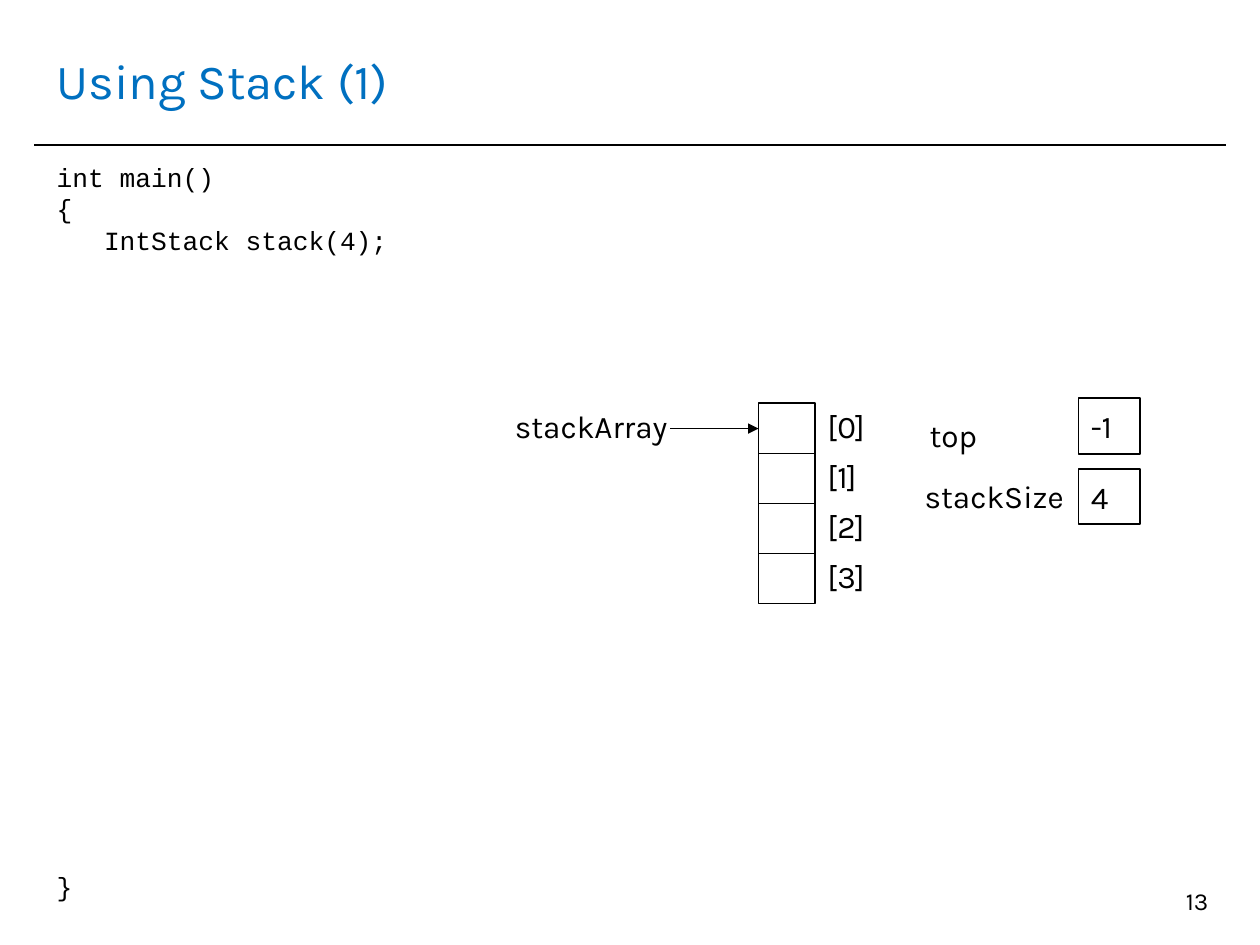
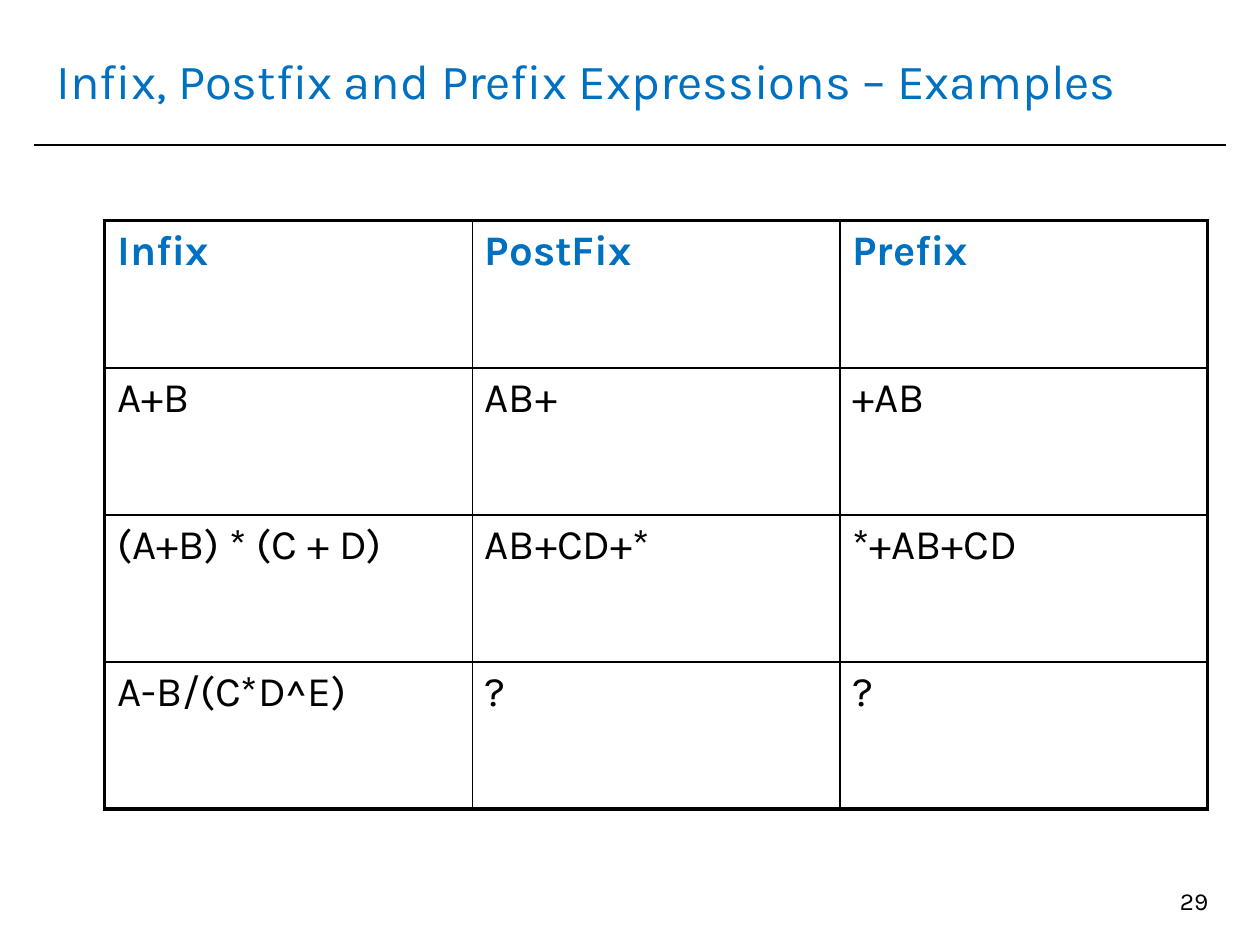
import dataclasses

import pptx
import pptx.dml.color
import pptx.enum.shapes
import pptx.enum.text
import pptx.oxml
import pptx.oxml.ns
import pptx.util

Cm = pptx.util.Cm
Pt = pptx.util.Pt
ANCHOR = pptx.enum.text.MSO_ANCHOR
ALIGN = pptx.enum.text.PP_ALIGN


@dataclasses.dataclass(frozen=True)
class Theme:
    blue: str = "0070C0"
    black: str = "000000"
    sans: str = "Karla"
    mono: str = "Courier New"
    title: int = 28
    table: int = 24
    label: int = 18
    code: int = 15
    page: int = 14
    thin: float = 1
    thick: float = 2.25


THEME = Theme()


# Text and line helpers
def paint(code):
    return pptx.dml.color.RGBColor.from_string(code)


def style(par, size, color=THEME.black, face=THEME.sans, bold=False):
    for run in par.runs:
        font = run.font
        font.size, font.name, font.bold = Pt(size), face, bold
        font.color.rgb = paint(color)


def place(shape, left, top, width, height):
    shape.left, shape.top = Cm(left), Cm(top)
    shape.width, shape.height = Cm(width), Cm(height)


def add_label(slide, text, left, top, width, height=1.02, size=THEME.label,
              align=ALIGN.LEFT):
    box = slide.shapes.add_textbox(Cm(left), Cm(top), Cm(width), Cm(height))
    frame = box.text_frame
    frame.word_wrap = True
    frame.text = text
    par = frame.paragraphs[0]
    par.alignment = align
    style(par, size)


def add_line(slide, start, end, arrow=False):
    line = slide.shapes.add_connector(
        pptx.enum.shapes.MSO_CONNECTOR.STRAIGHT,
        *(Cm(value) for value in (*start, *end)))
    line.line.color.rgb = paint(THEME.black)
    line.line.width = Pt(THEME.thin)
    if arrow:
        stroke = line.line._get_or_add_ln()
        head = pptx.oxml.parse_xml(
            f'<a:tailEnd {pptx.oxml.ns.nsdecls("a")} type="triangle"/>')
        stroke.append(head)
    line.element.spPr.append(pptx.oxml.parse_xml(
        f'<a:effectLst {pptx.oxml.ns.nsdecls("a")}/>'))


def add_box(slide, left, top, width, height, text=""):
    box = slide.shapes.add_shape(
        pptx.enum.shapes.MSO_SHAPE.RECTANGLE,
        Cm(left), Cm(top), Cm(width), Cm(height))
    box.shadow.inherit = False
    box.fill.background()
    box.line.color.rgb = paint(THEME.black)
    box.line.width = Pt(THEME.thin)
    if text:
        frame = box.text_frame
        frame.text = text
        frame.vertical_anchor = ANCHOR.MIDDLE
        par = frame.paragraphs[0]
        par.alignment = ALIGN.LEFT
        style(par, THEME.label)


# Shared frame: title, rule and page number
def add_slide(deck, layout, title, page):
    slide = deck.slides.add_slide(deck.slide_layouts.get_by_name(layout))
    head = slide.shapes.title
    place(head, 0.89, 0.53, 23.6, 2.16)
    frame = head.text_frame
    frame.text = title
    frame.vertical_anchor = ANCHOR.MIDDLE
    frame.auto_size = pptx.enum.text.MSO_AUTO_SIZE.NONE
    par = frame.paragraphs[0]
    par.alignment = ALIGN.LEFT
    style(par, THEME.title, THEME.blue)
    add_line(slide, (0.69, 2.92), (24.71, 2.92))
    add_label(slide, str(page), 18.69, 17.73, 5.92, 1.32, THEME.page,
              ALIGN.RIGHT)
    return slide


# Code list: each row is text, indent and space before in points
def fill_code(body, rows):
    place(body, 0.89, 3.12, 23.6, 14.2)
    frame = body.text_frame
    frame.auto_size = pptx.enum.text.MSO_AUTO_SIZE.NONE
    frame.text = "\n".join(text for text, _, _ in rows)
    for par, (_, indent, gap) in zip(frame.paragraphs, rows):
        par.line_spacing = Pt(18)
        par.space_before = Pt(gap)
        props = par._p.get_or_add_pPr()
        props.set("marL", str(Pt(indent)))
        props.set("indent", "0")
        props.append(pptx.oxml.parse_xml(
            f'<a:buNone {pptx.oxml.ns.nsdecls("a")}/>'))
        style(par, THEME.code, face=THEME.mono)


# Stack drawing: a column of cells with an index beside each
def add_stack(slide, left, top, width, step, count):
    right = left + width
    add_box(slide, left, top, width, step * count)
    for index in range(count):
        edge = top + step * index
        if index:
            add_line(slide, (left, edge), (right, edge))
        add_label(slide, f"[{index}]", right, edge - 0.05, 1.8)


# Table with a thick outer frame and thin inner lines
def set_edge(cell, side, width):
    cell._tc.get_or_add_tcPr().append(pptx.oxml.parse_xml(
        f'<a:ln{side} {pptx.oxml.ns.nsdecls("a")} w="{Pt(width)}">'
        f'<a:solidFill><a:srgbClr val="{THEME.black}"/></a:solidFill>'
        f'</a:ln{side}>'))


def add_grid(slide, rows, left, top, width, height):
    high, wide = len(rows), len(rows[0])
    table = slide.shapes.add_table(
        high, wide, Cm(left), Cm(top), Cm(width), Cm(height)).table
    table.first_row = table.horz_banding = False
    for y, row in enumerate(rows):
        for x, text in enumerate(row):
            cell = table.cell(y, x)
            outer = {"L": x == 0, "R": x == wide - 1,
                     "T": y == 0, "B": y == high - 1}
            for side, thick in outer.items():
                set_edge(cell, side, THEME.thick if thick else THEME.thin)
            cell.fill.background()
            cell.text = text
            par = cell.text_frame.paragraphs[0]
            par.space_before = Pt(0.2 * THEME.table)
            style(par, THEME.table, THEME.black if y else THEME.blue,
                  bold=y == 0)


def draw_stack(deck):
    slide = add_slide(deck, "Title and Content", "Using Stack (1)", 13)
    fill_code(slide.placeholders[1], [
        ("int main()", 0, 2),
        ("{", 0, 0),
        ("IntStack stack(4);", 27, 0),
        ("}", 0, 351),
    ])
    add_stack(slide, 15.29, 8.13, 1.14, 1.01, 4)
    add_label(slide, "stackArray", 10.13, 8.08, 3.81)
    add_line(slide, (13.51, 8.64), (15.29, 8.64), arrow=True)
    # Member values
    add_label(slide, "top", 18.49, 8.26, 1.93)
    add_label(slide, "stackSize", 18.39, 9.5, 3.78)
    for top, value in ((8.03, "-1"), (9.45, "4")):
        add_box(slide, 21.74, top, 1.24, 1.12, value)


def draw_forms(deck):
    slide = add_slide(deck, "Title Only",
                      "Infix, Postfix and Prefix Expressions – Examples", 29)
    add_grid(slide, [
        ("Infix", "PostFix", "Prefix"),
        ("A+B", "AB+", "+AB"),
        ("(A+B) * (C + D)", "AB+CD+*", "*+AB+CD"),
        ("A-B/(C*D^E)", "?", "?"),
    ], 2.11, 4.45, 22.23, 11.86)


def main():
    deck = pptx.Presentation()
    deck.slide_width, deck.slide_height = Cm(25.4), Cm(19.05)
    draw_stack(deck)
    draw_forms(deck)
    deck.save("out.pptx")


if __name__ == "__main__":
    main()
